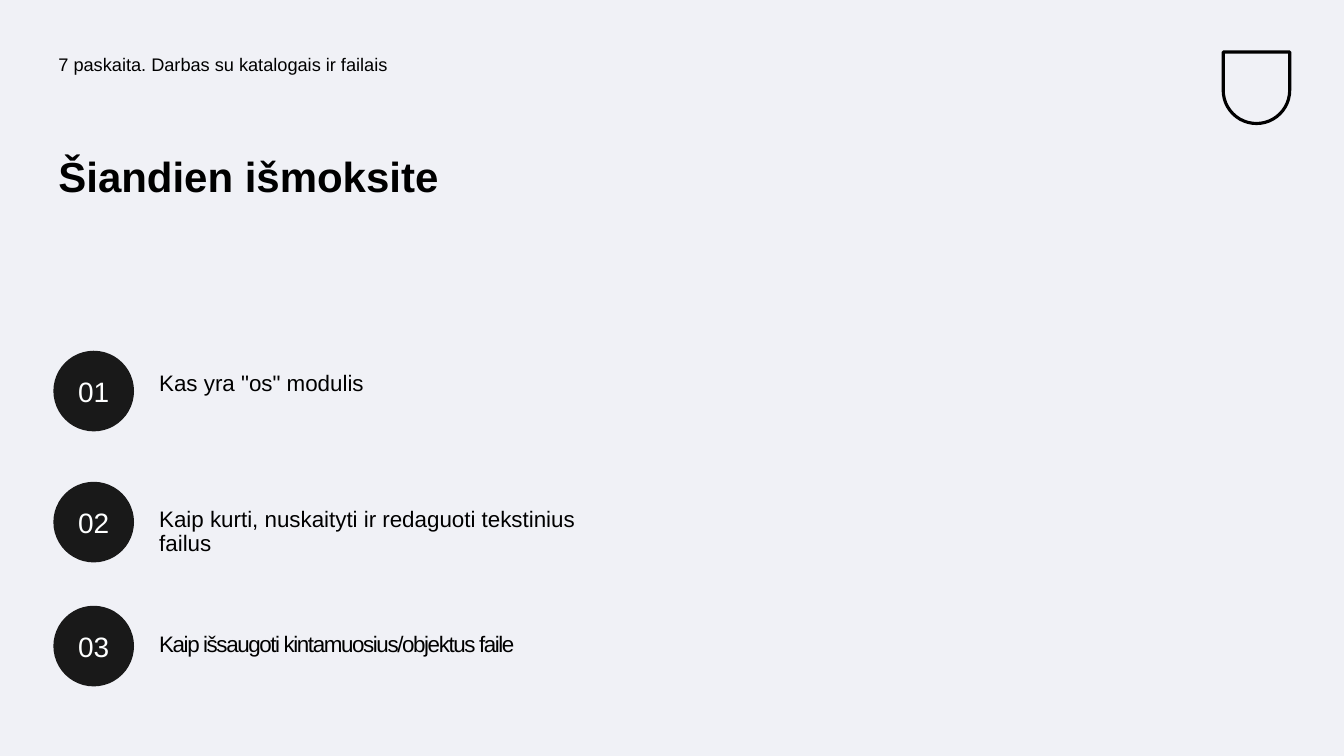
from pptx import Presentation
from pptx.dml.color import RGBColor
from pptx.enum.shapes import MSO_SHAPE
from pptx.enum.text import MSO_ANCHOR, MSO_AUTO_SIZE, PP_ALIGN
from pptx.util import Inches, Pt

ELLIPSE = MSO_SHAPE.OVAL
SHIELD = MSO_SHAPE.ROUND_2_SAME_RECTANGLE
MIDDLE = MSO_ANCHOR.MIDDLE
GROW = MSO_AUTO_SIZE.SHAPE_TO_FIT_TEXT
FIXED = MSO_AUTO_SIZE.NONE
CENTER = PP_ALIGN.CENTER

COLORS = {"page": "F0F1F6", "ink": "000000", "badge": "191919", "number": "FEFFFF"}
COLUMNS, ROWS = 160, 90
CELL = Inches(1 / 12)
LEFT, TOPIC_LEFT = 6.36, 18.36
BADGE = 9.6
INSET = Inches(0.05)

# badge row, text row, text columns, text rows, letter spacing, topic
TOPICS = [
    (41.76, 43.68, 55.56, 4.08, 0, 'Kas yra "os" modulis'),
    (57.36, 59.88, 55.56, 6.84, 0,
     "Kaip kurti, nuskaityti ir redaguoti tekstinius failus"),
    (72.12, 74.76, 58.44, 4.32, -1, "Kaip išsaugoti kintamuosius/objektus faile"),
]


def color(name):
    return RGBColor.from_string(COLORS[name])


def cells(*counts):
    """Turn columns and rows of the grid into lengths."""
    return [round(count * CELL) for count in counts]


def set_all(target, values):
    for name, value in values.items():
        setattr(target, name, value)


def write(box, text, size, ink="ink", bold=False, spacing=0, frame=None, para=None):
    """Fill a box with one paragraph; frame and para hold further format values."""
    set_all(box.text_frame, {
        "word_wrap": True, "margin_left": INSET, "margin_right": INSET,
        "margin_top": INSET, "margin_bottom": INSET, **(frame or {})})
    paragraph = box.text_frame.paragraphs[0]
    set_all(paragraph, para or {})
    span = paragraph.add_run()
    span.text = text
    set_all(span.font, {"name": "Arial", "size": Pt(size), "bold": bold})
    span.font.color.rgb = color(ink)
    if spacing:
        span.font._element.set("spc", str(spacing * 100))


def add_text(page, place, text, size, before=10, auto_size=GROW, **style):
    box = page.shapes.add_textbox(*cells(*place))
    write(box, text, size, frame={"auto_size": auto_size},
          para={"line_spacing": 0.9, "space_before": Pt(before)}, **style)


def add_badge(page, row, number):
    badge = page.shapes.add_shape(ELLIPSE, *cells(LEFT, row, BADGE, BADGE))
    badge.shadow.inherit = False
    badge.fill.solid()
    badge.fill.fore_color.rgb = color("badge")
    badge.line.fill.background()
    write(badge, f"{number:02}", 20, ink="number",
          frame={"vertical_anchor": MIDDLE}, para={"alignment": CENTER})


def add_shield(page):
    shield = page.shapes.add_shape(SHIELD, *cells(145.62, 6.18, 7.92, 8.52))
    shield.shadow.inherit = False
    shield.rotation = 180
    shield.adjustments[0] = 0.5
    shield.fill.background()
    shield.line.color.rgb = color("ink")
    shield.line.width = Pt(2.25)


def main():
    deck = Presentation()
    deck.slide_width, deck.slide_height = cells(COLUMNS, ROWS)
    page = deck.slides.add_slide(deck.slide_layouts[6])
    page.background.fill.solid()
    page.background.fill.fore_color.rgb = color("page")

    add_shield(page)
    add_text(page, (LEFT, 6, 73.68, 3.6),
             "7 paskaita. Darbas su katalogais ir failais", 13)
    add_text(page, (LEFT, 18, 67.56, 6.72), "Šiandien išmoksite", 30,
             before=0, bold=True)
    for number, (badge_row, row, width, height, spacing, topic) in enumerate(TOPICS, 1):
        add_badge(page, badge_row, number)
        add_text(page, (TOPIC_LEFT, row, width, height), topic, 16,
                 spacing=spacing, auto_size=FIXED if spacing else GROW)
    deck.save("out.pptx")


if __name__ == "__main__":
    main()
